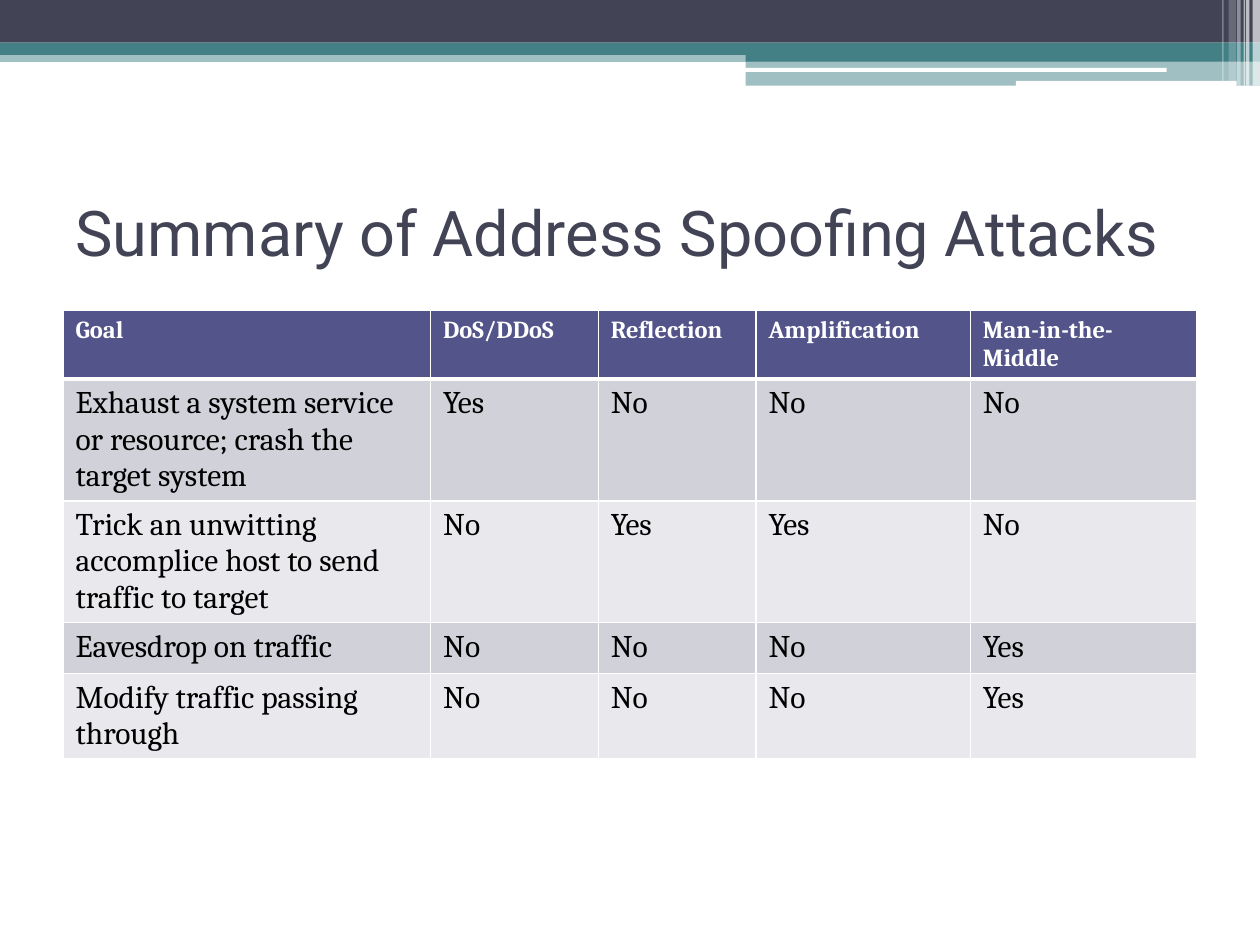
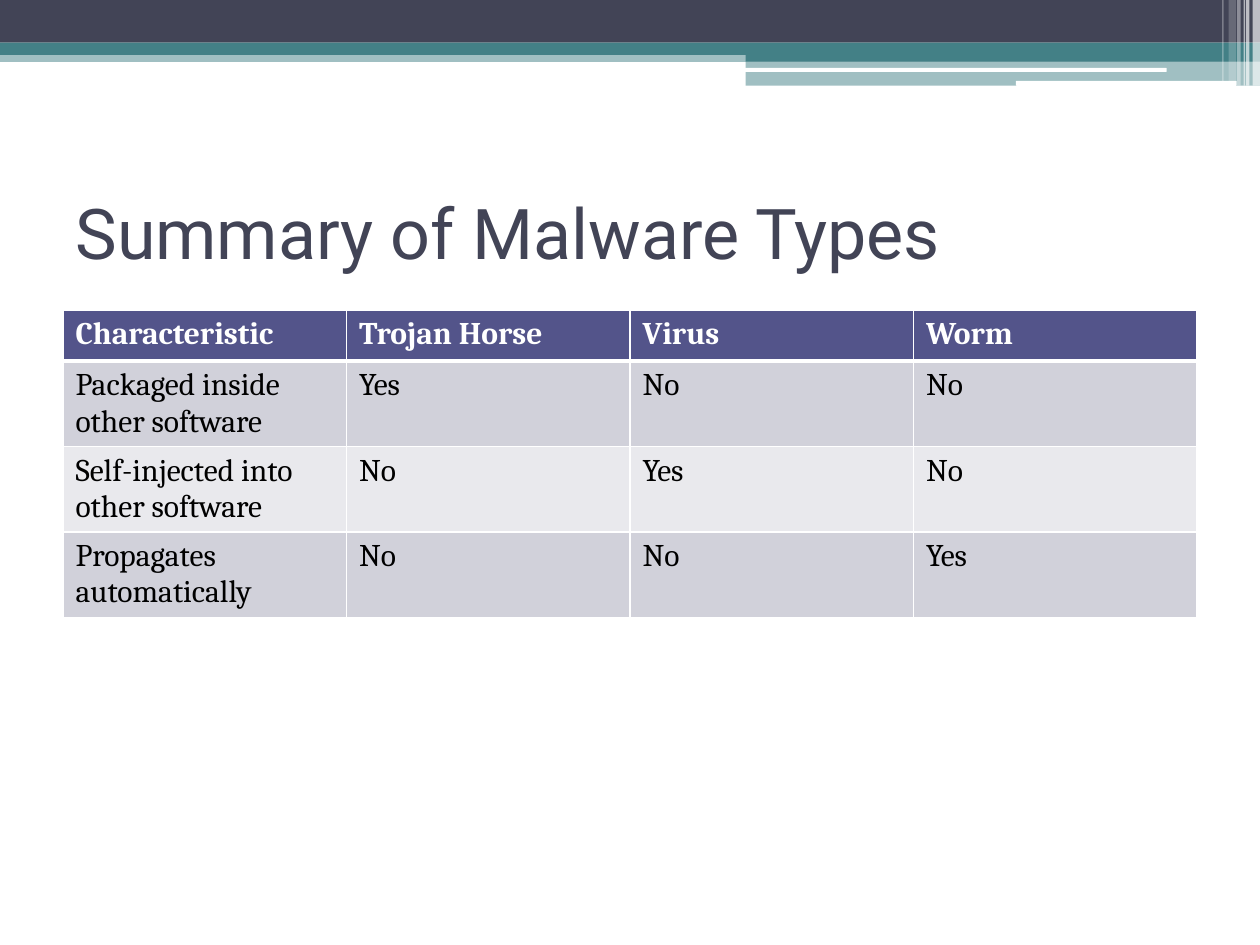
from lxml import etree
from pptx import Presentation
from pptx.dml.color import RGBColor
from pptx.enum.shapes import MSO_SHAPE as Shape
from pptx.enum.text import MSO_ANCHOR as Anchor, MSO_AUTO_SIZE as AutoSize, PP_ALIGN as Align
from pptx.oxml.ns import qn
from pptx.util import Cm, Pt

# Colours and fonts
WHITE = RGBColor(0xFF, 0xFF, 0xFF)
BLACK = RGBColor(0x00, 0x00, 0x00)
SLATE = RGBColor(0x42, 0x44, 0x56)
TEAL = RGBColor(0x43, 0x80, 0x86)
HEADER_FILL = RGBColor(0x53, 0x54, 0x8A)
ROW_FILLS = (RGBColor(0xD1, 0xD1, 0xDA), RGBColor(0xE9, 0xE9, 0xED))
TITLE_FONT = "Roboto"
TABLE_FONT = "Cambria"

# Layout, in centimetres
SLIDE_WIDTH, SLIDE_HEIGHT = 25.4, 19.05
LEFT, CONTENT_WIDTH = 1.27, 22.86
TITLE_TOP, TITLE_HEIGHT = 3.18, 2.97
TABLE_TOP, ROW_HEIGHT = 6.25, 1.03
TITLE_ONLY = 5

# Top bands: left, top, width, height, colour, opacity in percent
BANDS = [
    (0, 1.02, SLIDE_WIDTH, 0.23, TEAL, 50),
    (0, 0, SLIDE_WIDTH, 0.86, SLATE, 100),
    (0, 0.86, SLIDE_WIDTH, 0.25, TEAL, 100),
    (15.03, 0.99, 10.37, 0.25, TEAL, 100),
    (15.03, 1.23, 10.37, 0.5, TEAL, 50),
]
# White rounded lines: left, top, width, height
ROUNDED_LINES = [(15.01, 1.37, 8.51, 0.08), (20.48, 1.63, 4.45, 0.1)]
# White vertical stripes in the corner: left, width, height, opacity
STRIPES = [
    (25.25, 0.15, 1.73, 65),
    (25.12, 0.07, 1.73, 65),
    (25.07, 0.03, 1.73, 60),
    (24.94, 0.07, 1.73, 40),
    (24.77, 0.15, 1.63, 20),
    (24.64, 0.03, 1.63, 30),
]

SPOOFING_COLUMNS = [7.41, 3.38, 3.18, 4.32, 4.57]
SPOOFING_ROWS = [
    ("Goal", "DoS/DDoS", "Reflection", "Amplification", "Man-in-the-Middle"),
    ("Exhaust a system service or resource; crash the target system", "Yes", "No", "No", "No"),
    ("Trick an unwitting accomplice host to send traffic to target", "No", "Yes", "Yes", "No"),
    ("Eavesdrop on traffic", "No", "No", "No", "Yes"),
    ("Modify traffic passing through", "No", "No", "No", "Yes"),
]
MALWARE_ROWS = [
    ("Characteristic", "Trojan Horse", "Virus", "Worm"),
    ("Packaged inside other software", "Yes", "No", "No"),
    ("Self-injected into other software", "No", "Yes", "No"),
    ("Propagates automatically", "No", "No", "Yes"),
]


def add_block(slide, kind, left, top, width, height, color, opacity=100):
    shape = slide.shapes.add_shape(kind, Cm(left), Cm(top), Cm(width), Cm(height))
    shape.shadow.inherit = False
    shape.line.fill.background()
    shape.fill.solid()
    shape.fill.fore_color.rgb = color
    if opacity < 100:
        color_element = shape.fill._xPr.find(qn("a:solidFill"))[0]
        etree.SubElement(color_element, qn("a:alpha"), val=str(opacity * 1000))


def add_top_bands(slide):
    for band in BANDS:
        add_block(slide, Shape.RECTANGLE, *band)
    for line in ROUNDED_LINES:
        add_block(slide, Shape.ROUNDED_RECTANGLE, *line, WHITE)
    for left, width, height, opacity in STRIPES:
        add_block(slide, Shape.RECTANGLE, left, 0, width, height, WHITE, opacity)


def add_run(paragraph, text, font_name, size, color, bold=False):
    run = paragraph.add_run()
    run.text = text
    run.font.name = font_name
    run.font.size = Pt(size)
    run.font.color.rgb = color
    run.font.bold = bold


def set_title(slide, text, size):
    title = slide.shapes.title
    title.left, title.top = Cm(LEFT), Cm(TITLE_TOP)
    title.width, title.height = Cm(CONTENT_WIDTH), Cm(TITLE_HEIGHT)
    frame = title.text_frame
    frame.auto_size = AutoSize.NONE
    frame.vertical_anchor = Anchor.MIDDLE
    paragraph = frame.paragraphs[0]
    paragraph.alignment = Align.LEFT
    add_run(paragraph, text, TITLE_FONT, size, SLATE)


def set_borders(cell, top, bottom):
    """Draw white cell borders; call before the fill, which follows them in the XML."""
    properties = cell._tc.get_or_add_tcPr()
    for side, points in (("L", 1), ("R", 1), ("T", top), ("B", bottom)):
        line = etree.SubElement(properties, qn(f"a:ln{side}"), w=str(Pt(points)))
        fill = etree.SubElement(line, qn("a:solidFill"))
        etree.SubElement(fill, qn("a:srgbClr"), val=str(WHITE))


def add_comparison_table(slide, rows, column_widths, header_size):
    frame = slide.shapes.add_table(
        len(rows), len(column_widths), Cm(LEFT), Cm(TABLE_TOP),
        Cm(CONTENT_WIDTH), Cm(ROW_HEIGHT * len(rows)))
    table = frame.table
    for column, width in zip(table.columns, column_widths):
        column.width = Cm(width)
    for row_index, texts in enumerate(rows):
        is_header = row_index == 0
        for column_index, text in enumerate(texts):
            cell = table.cell(row_index, column_index)
            set_borders(cell, top=3 if row_index == 1 else 1, bottom=3 if is_header else 1)
            cell.fill.solid()
            cell.fill.fore_color.rgb = HEADER_FILL if is_header else ROW_FILLS[(row_index - 1) % 2]
            add_run(cell.text_frame.paragraphs[0], text, TABLE_FONT,
                    header_size if is_header else 18,
                    WHITE if is_header else BLACK, bold=is_header)


def add_table_slide(presentation, title, title_size, rows, column_widths, header_size):
    slide = presentation.slides.add_slide(presentation.slide_layouts[TITLE_ONLY])
    add_top_bands(slide)
    set_title(slide, title, title_size)
    add_comparison_table(slide, rows, column_widths, header_size)


def main():
    presentation = Presentation()
    presentation.slide_width, presentation.slide_height = Cm(SLIDE_WIDTH), Cm(SLIDE_HEIGHT)
    add_table_slide(presentation, "Summary of Address Spoofing Attacks", 36,
                    SPOOFING_ROWS, SPOOFING_COLUMNS, header_size=14)
    malware_columns = [CONTENT_WIDTH / 4] * 4
    add_table_slide(presentation, "Summary of Malware Types", 40,
                    MALWARE_ROWS, malware_columns, header_size=18)
    presentation.save("out.pptx")


if __name__ == "__main__":
    main()
